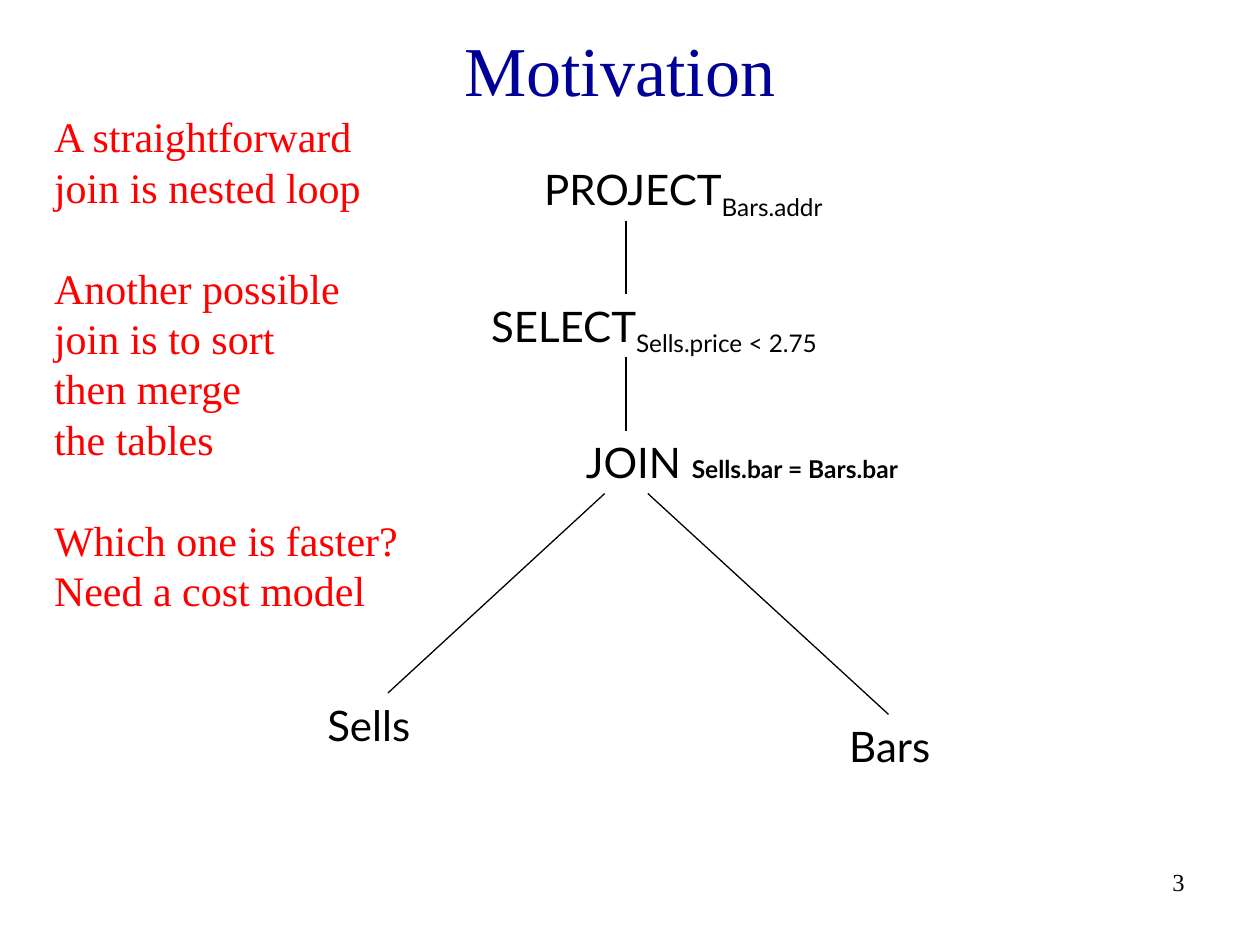
from dataclasses import dataclass

from lxml.etree import SubElement
from pptx import Presentation
from pptx.dml.color import RGBColor
from pptx.enum.shapes import MSO_CONNECTOR
from pptx.enum.text import MSO_ANCHOR, MSO_AUTO_SIZE, PP_ALIGN
from pptx.oxml.ns import qn
from pptx.util import Cm, Pt


@dataclass(frozen=True)
class Theme:
    """Fonts, colours and sizes of the slide."""
    serif: str = "Times New Roman"
    sans: str = "Lato"
    title: RGBColor = RGBColor(0x00, 0x00, 0x99)
    remark: RGBColor = RGBColor(0xFF, 0x00, 0x00)
    ink: RGBColor = RGBColor(0x00, 0x00, 0x00)
    title_size: Pt = Pt(40)
    body_size: Pt = Pt(24)
    small_size: Pt = Pt(14)
    line_pitch: Pt = Pt(28.8)
    line_width: Pt = Pt(0.75)


THEME = Theme()
TREE_AXIS = 12.62
LEVEL_TOP = 3.18
LEVEL_STEP = 2.75
NODE_HEIGHT = 1.27

OPERATORS = [
    ("PROJECT", "Bars.addr", 10.72, 6.38),
    ("SELECT", "Sells.price < 2.75", 9.65, 7.77),
]
RELATIONS = [
    ("Sells", 6.35, 13.97, 2.18, 12.19, 7.82),
    ("Bars", 16.87, 14.4, 2.16, 13.06, 17.91),
]
REMARKS = [
    ["A straightforward", "join is nested loop"],
    ["Another possible", "join is to sort", "then merge", "the tables"],
    ["Which one is faster?", "Need a cost model"],
]


def style(font, name, size, color):
    """Set the face, size and colour of a font."""
    font.name = name
    font.size = size
    font.color.rgb = color


def add_title(page, text):
    """Place and format the title placeholder."""
    title = page.shapes.title
    title.left, title.top, title.width, title.height = Cm(0.43), Cm(0.43), Cm(24.13), Cm(1.9)
    title.text_frame.text = text
    title.text_frame.vertical_anchor = MSO_ANCHOR.MIDDLE
    para = title.text_frame.paragraphs[0]
    para.alignment = PP_ALIGN.CENTER
    style(para.font, THEME.serif, THEME.title_size, THEME.title)


def add_box(shapes, left, top, width, height):
    """Add an unwrapped text box that fits its text and return its frame."""
    box = shapes.add_textbox(Cm(left), Cm(top), Cm(width), Cm(height))
    frame = box.text_frame
    frame.word_wrap = False
    frame.auto_size = MSO_AUTO_SIZE.SHAPE_TO_FIT_TEXT
    return frame


def add_node(shapes, text, left, top, width):
    """Add a tree label and return its paragraph."""
    para = add_box(shapes, left, top, width, NODE_HEIGHT).paragraphs[0]
    style(para.font, THEME.sans, THEME.body_size, THEME.ink)
    para.add_run().text = text
    return para


def add_edge(shapes, start, end):
    """Add a thin straight line between two points."""
    edge = shapes.add_connector(MSO_CONNECTOR.STRAIGHT, *map(Cm, start + end))
    edge.line.color.rgb = THEME.ink
    edge.line.width = THEME.line_width
    SubElement(edge._element.spPr, qn("a:effectLst"))


def add_operator(page, level, name, subscript, left, width):
    """Add an operator with its subscript and the stem down to the next level."""
    shapes = page.shapes.add_group_shape().shapes
    top = LEVEL_TOP + level * LEVEL_STEP
    span = add_node(shapes, name, left, top, width).add_run()
    span.text = subscript
    span._r.get_or_add_rPr().set("baseline", "-25000")
    add_edge(shapes, (TREE_AXIS, top + NODE_HEIGHT), (TREE_AXIS, top + LEVEL_STEP))


def add_join(page):
    """Add the join, its condition and the branches to both relations."""
    shapes = page.shapes.add_group_shape().shapes
    top = LEVEL_TOP + len(OPERATORS) * LEVEL_STEP
    span = add_node(shapes, "JOIN ", 11.56, top, 7.59).add_run()
    span.text = "Sells.bar = Bars.bar"
    span.font.size = THEME.small_size
    span.font.bold = True
    for name, left, leaf_top, width, start, end in RELATIONS:
        add_node(page.shapes, name, left, leaf_top, width)
        add_edge(shapes, (start, top + NODE_HEIGHT), (end, leaf_top))


def add_remarks(page):
    """Add the remarks, each set apart by one line of space."""
    frame = add_box(page.shapes, 0.84, 2.11, 7.52, 10.5)
    para = frame.paragraphs[0]
    for number, lines in enumerate(REMARKS):
        for row, text in enumerate(lines):
            if number or row:
                para = frame.add_paragraph()
            para.text = text
            para.line_spacing = THEME.line_pitch
            if number and row == 0:
                para.space_before = THEME.line_pitch
            style(para.font, THEME.serif, THEME.body_size, THEME.remark)


def add_page_number(page, number):
    """Add the page number at the lower right."""
    box = page.shapes.add_textbox(Cm(18.85), Cm(17.35), Cm(5.28), Cm(1.27))
    box.text_frame.word_wrap = True
    para = box.text_frame.paragraphs[0]
    para.text = number
    para.alignment = PP_ALIGN.RIGHT
    style(para.font, THEME.serif, THEME.small_size, THEME.ink)


def main():
    """Build the slide and save it."""
    deck = Presentation()
    deck.slide_width, deck.slide_height = Cm(25.4), Cm(19.05)
    page = deck.slides.add_slide(deck.slide_layouts[5])
    add_title(page, "Motivation")
    for level, operator in enumerate(OPERATORS):
        add_operator(page, level, *operator)
    add_join(page)
    add_remarks(page)
    add_page_number(page, "3")
    deck.save("out.pptx")


if __name__ == "__main__":
    main()
